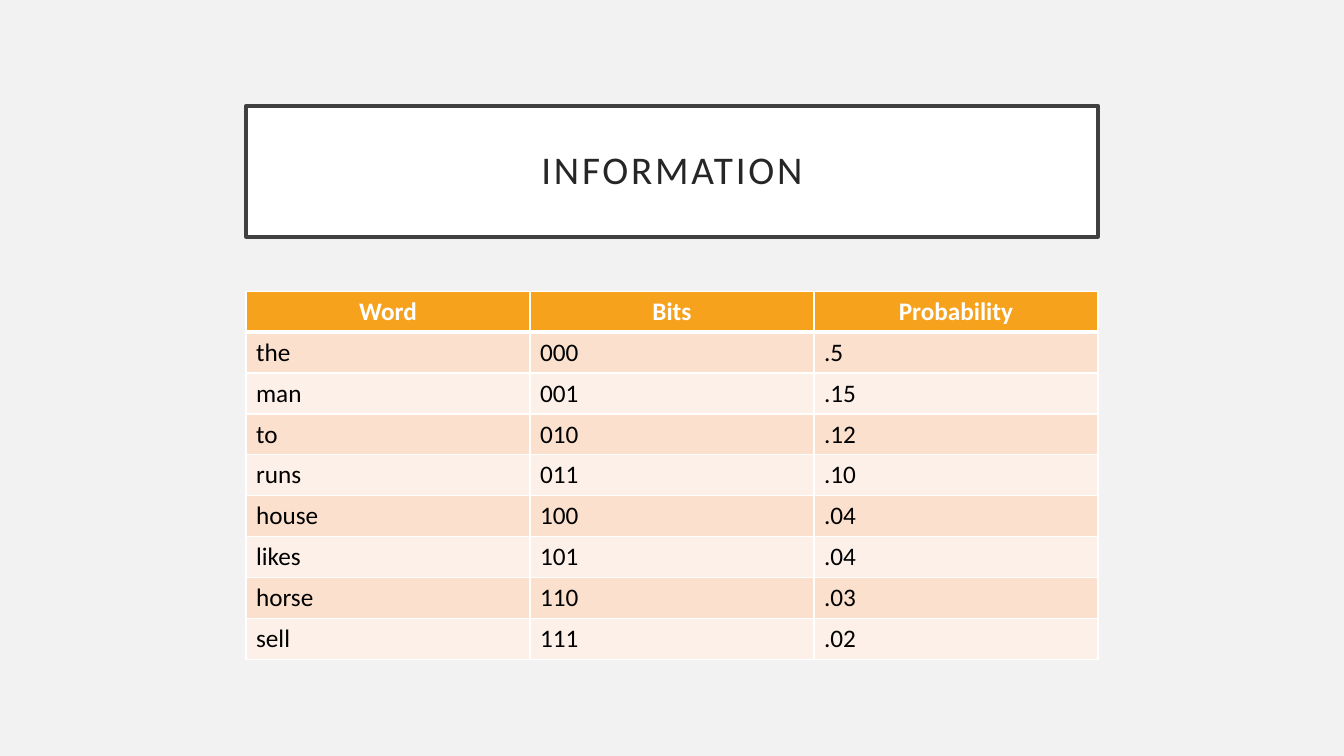
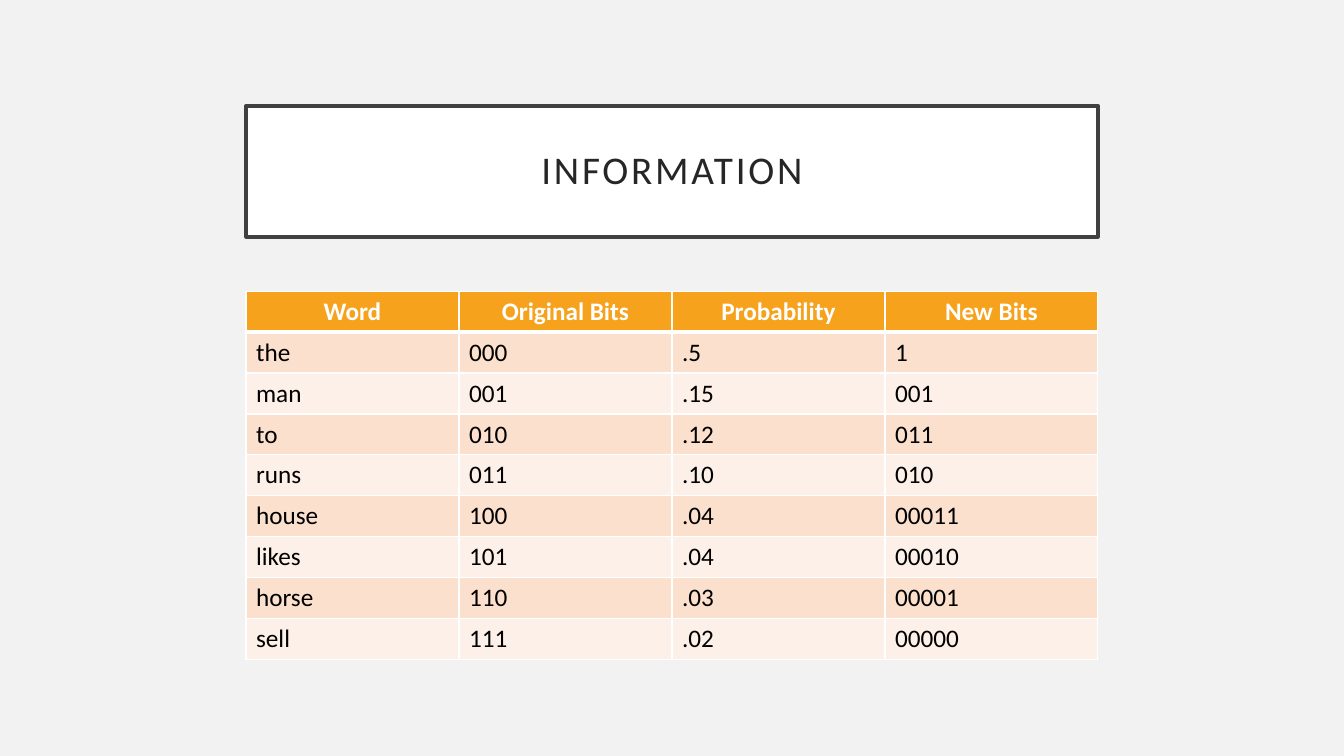
from dataclasses import dataclass

from lxml import etree
from pptx import Presentation
from pptx.dml.color import RGBColor
from pptx.enum.text import MSO_ANCHOR, PP_ALIGN
from pptx.oxml.ns import qn
from pptx.slide import Slide
from pptx.table import _Cell
from pptx.text.text import TextFrame
from pptx.util import Inches, Pt

LEFT, CENTER = PP_ALIGN.LEFT, PP_ALIGN.CENTER
MIDDLE = MSO_ANCHOR.MIDDLE
TITLE_ONLY = 5

WIDE, HIGH = 13.33, 7.5
BAND = 8.45
EDGE = (WIDE - BAND) / 2
FONT = "Calibri"
PAPER, WHITE, BLACK = "F2F2F2", "FFFFFF", "000000"
FRAME, INK = "404040", "262626"
HEAD = "F6A21D"
STRIPES = ("FBE0CD", "FDF0E8")

WORDS = ("the", "man", "to", "runs", "house", "likes", "horse", "sell")
BITS = tuple(f"{code:03b}" for code in range(len(WORDS)))
ODDS = (".5", ".15", ".12", ".10", ".04", ".04", ".03", ".02")
CODES = ("1", "001", "011", "010", "00011", "00010", "00001", "00000")


@dataclass(frozen=True)
class Column:
    name: str
    items: tuple[str, ...]


@dataclass(frozen=True)
class Page:
    title: str
    columns: tuple[Column, ...]


PAGES = (
    Page("INFORMATION", (
        Column("Word", WORDS),
        Column("Bits", BITS),
        Column("Probability", ODDS),
    )),
    Page("INFORMATION", (
        Column("Word", WORDS),
        Column("Original Bits", BITS),
        Column("Probability", ODDS),
        Column("New Bits", CODES),
    )),
)


def color(code: str) -> RGBColor:
    return RGBColor.from_string(code)


def write(frame: TextFrame, text: str, *, size: float = 18, ink: str = BLACK,
          bold: bool = False, align: PP_ALIGN = LEFT, line: float = 1.0,
          track: float = 0) -> None:
    para = frame.paragraphs[0]
    para.alignment = align
    para.line_spacing = line
    run = para.add_run()
    run.text = text
    font = run.font
    font.name, font.size, font.bold = FONT, Pt(size), bold
    font.color.rgb = color(ink)
    if track:
        font._element.set("spc", str(round(track * 100)))


def border(cell: _Cell, top: float, base: float) -> None:
    props = cell._tc.get_or_add_tcPr()
    for side, width in (("L", 1), ("R", 1), ("T", top), ("B", base)):
        line = etree.SubElement(props, qn(f"a:ln{side}"), w=str(Pt(width)))
        fill = etree.SubElement(line, qn("a:solidFill"))
        etree.SubElement(fill, qn("a:srgbClr"), val=WHITE)


def add_title(slide: Slide, text: str) -> None:
    box = slide.shapes.title
    box.left, box.top = Inches(EDGE), Inches(HIGH * 0.14)
    box.width, box.height = Inches(BAND), Inches(1.3)
    box.fill.solid()
    box.fill.fore_color.rgb = color(WHITE)
    box.line.color.rgb = color(FRAME)
    box.line.width = Pt(2.5)
    frame = box.text_frame
    frame.word_wrap = True
    frame.vertical_anchor = MIDDLE
    frame.margin_left = frame.margin_right = Inches(0.2)
    frame.margin_top = frame.margin_bottom = Inches(0.2)
    write(frame, text, size=28, ink=INK, align=CENTER, line=0.9, track=2)


def add_grid(slide: Slide, columns: tuple[Column, ...]) -> None:
    rows = len(columns[0].items) + 1
    table = slide.shapes.add_table(
        rows, len(columns), Inches(EDGE), Inches(2.89),
        Inches(BAND), Inches(3.65)).table
    for x, column in enumerate(columns):
        for y, text in enumerate((column.name, *column.items)):
            cell = table.cell(y, x)
            first = y == 0
            border(cell, 3 if y == 1 else 1, 3 if first else 1)
            cell.fill.solid()
            cell.fill.fore_color.rgb = color(
                HEAD if first else STRIPES[(y - 1) % 2])
            write(cell.text_frame, text, bold=first,
                  ink=WHITE if first else BLACK,
                  align=CENTER if first else LEFT)


def main() -> None:
    deck = Presentation()
    deck.slide_width, deck.slide_height = Inches(WIDE), Inches(HIGH)
    back = deck.slide_master.background.fill
    back.solid()
    back.fore_color.rgb = color(PAPER)
    for page in PAGES:
        slide = deck.slides.add_slide(deck.slide_layouts[TITLE_ONLY])
        add_title(slide, page.title)
        add_grid(slide, page.columns)
    deck.save("out.pptx")


if __name__ == "__main__":
    main()
